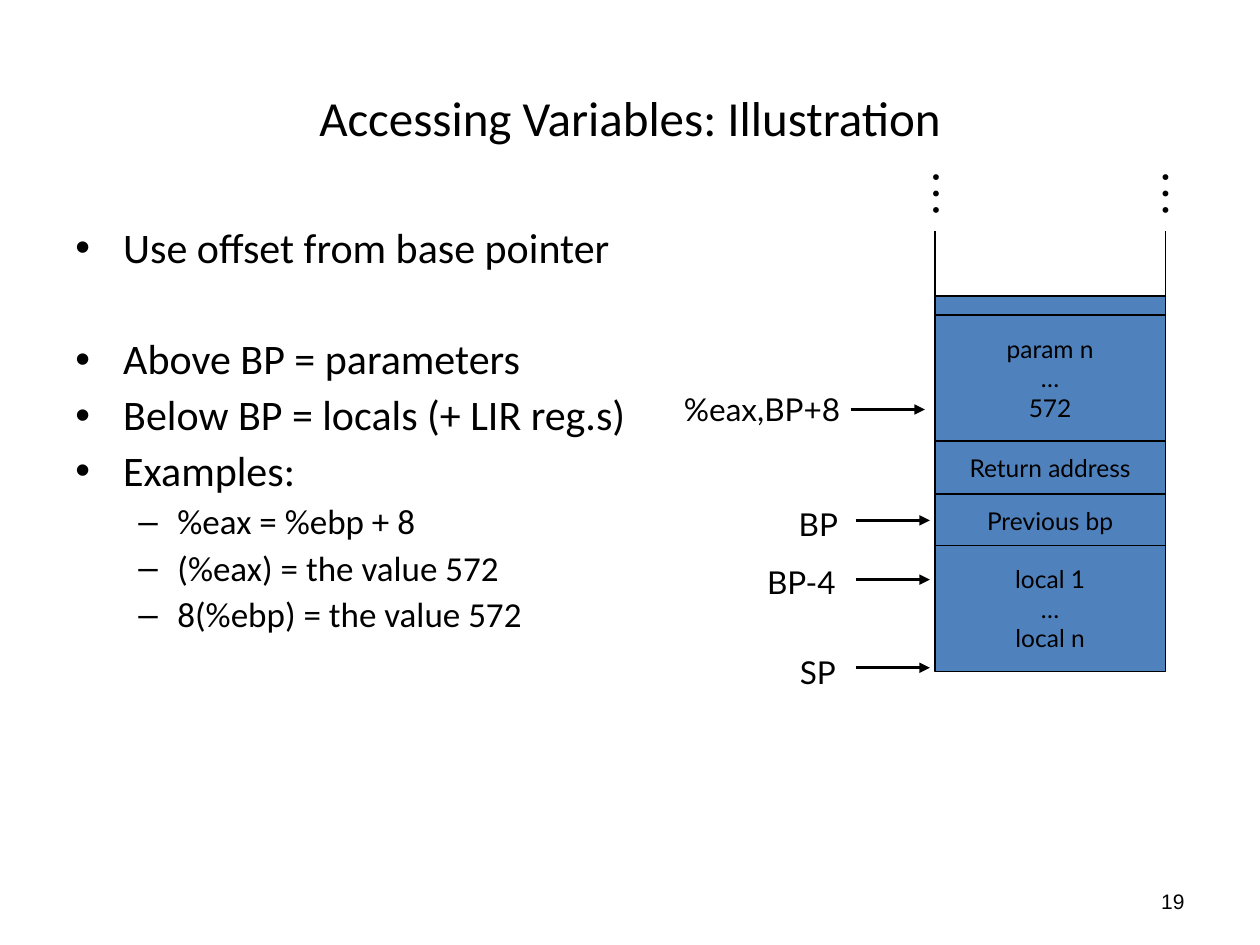
from lxml.etree import SubElement
from pptx import Presentation
from pptx.dml.color import RGBColor
from pptx.enum.shapes import MSO_CONNECTOR, MSO_SHAPE
from pptx.enum.text import MSO_ANCHOR, MSO_AUTO_SIZE, PP_ALIGN
from pptx.oxml.ns import qn
from pptx.util import Inches, Pt

BLACK = RGBColor.from_string("000000")
BLUE = RGBColor.from_string("4F81BD")

deck = Presentation()
deck.slide_width, deck.slide_height = Inches(10), Inches(7.5)
page = deck.slides.add_slide(deck.slide_layouts[6])


def write(box, lines, font, size, align=PP_ALIGN.LEFT, anchor=MSO_ANCHOR.TOP, wrap=False):
    frame = box.text_frame
    frame.word_wrap = wrap
    frame.vertical_anchor = anchor
    frame.text = "\n".join(lines)
    for para in frame.paragraphs:
        para.alignment = align
        para.font.name = font
        para.font.size = Pt(size)
        para.font.color.rgb = BLACK
    return frame.paragraphs


def draw_line(x1, y1, x2, y2, width, arrow=False):
    line = page.shapes.add_connector(
        MSO_CONNECTOR.STRAIGHT, Inches(x1), Inches(y1), Inches(x2), Inches(y2))
    line.line.color.rgb = BLACK
    line.line.width = Pt(width)
    if arrow:
        SubElement(line.line._get_or_add_ln(), qn("a:tailEnd"), type="triangle")
    SubElement(line._element.spPr, qn("a:effectLst"))


# Page number
box = page.shapes.add_textbox(Inches(7.17), Inches(6.95), Inches(2.33), Inches(0.4))
write(box, ["19"], "Arial", 12, PP_ALIGN.RIGHT, MSO_ANCHOR.MIDDLE, True)

# Title
box = page.shapes.add_textbox(Inches(0.5), Inches(0.3), Inches(9), Inches(1.25))
write(box, ["Accessing Variables: Illustration"], "Calibri", 28,
      PP_ALIGN.CENTER, MSO_ANCHOR.MIDDLE, True)

# Bulleted text: level, extra space before, wording
bullets = [
    (0, 0, "Use offset from base pointer"),
    (0, 32, "Above BP = parameters"),
    (0, 0, "Below BP = locals (+ LIR reg.s)"),
    (0, 0, "Examples:"),
    (1, 0, "%eax = %ebp + 8"),
    (1, 0, "(%eax) = the value 572"),
    (1, 0, "8(%ebp) = the value 572"),
]
# Size, space before, left margin, hanging indent and mark of each level
levels = [(24, 6, 0.38, 0.38, "•"), (20, 5, 0.81, 0.31, "–")]
box = page.shapes.add_textbox(Inches(0.5), Inches(1.75), Inches(9), Inches(4.95))
paragraphs = write(box, [text for _, _, text in bullets], "Calibri", 24, wrap=True)
for para, (level, extra, _) in zip(paragraphs, bullets):
    size, before, margin, hanging, mark = levels[level]
    para.level = level
    para.font.size = Pt(size)
    para.line_spacing = 0.9
    para.space_before = Pt(before + extra)
    properties = para._p.get_or_add_pPr()
    properties.set("marL", str(Inches(margin)))
    properties.set("indent", str(-Inches(hanging)))
    # Bullet font and mark stand before the text defaults
    defaults = properties.find(qn("a:defRPr"))
    defaults.addprevious(SubElement(properties, qn("a:buFont"), typeface="Arial"))
    defaults.addprevious(SubElement(properties, qn("a:buChar"), char=mark))

# Stack walls and cells: top, height, lines (the first lies behind the others)
STACK_LEFT, STACK_WIDTH = 7.42, 1.83
cells = [
    (2.35, 2.94, []),
    (2.5, 1, ["param n", "…", "572"]),
    (3.5, 0.42, ["Return address"]),
    (3.92, 0.42, ["Previous bp"]),
    (4.33, 1, ["local 1", "…", "local n"]),
]
for top, height, lines in cells:
    cell = page.shapes.add_shape(MSO_SHAPE.RECTANGLE, Inches(STACK_LEFT), Inches(top),
                                 Inches(STACK_WIDTH), Inches(height))
    cell.shadow.inherit = False
    cell.fill.solid()
    cell.fill.fore_color.rgb = BLUE
    cell.line.color.rgb = BLACK
    cell.line.width = Pt(0.75)
    if lines:
        write(cell, lines, "Lato", 14, PP_ALIGN.CENTER, MSO_ANCHOR.MIDDLE)
    else:
        for x in (STACK_LEFT, STACK_LEFT + STACK_WIDTH):
            draw_line(x, 3, x, 1.83, 0.75)

# Dots above the stack walls
for left in (7.27, 9.09):
    box = page.shapes.add_textbox(Inches(left), Inches(1.26), Inches(0.59), Inches(0.57))
    box.rotation = 90
    write(box, ["…"], "Times New Roman", 28)

# Pointers: label, its left, top and width, then arrow start and height
pointers = [
    ("%eax,BP+8", 5.33, 3.05, 1.48, 6.75, 3.25),
    ("BP", 6.24, 3.96, 0.51, 6.79, 4.13),
    ("BP-4", 5.99, 4.42, 0.8, 6.79, 4.6),
    ("SP", 6.25, 5.13, 0.49, 6.79, 5.3),
]
for label, left, top, width, start, y in pointers:
    box = page.shapes.add_textbox(Inches(left), Inches(top), Inches(width), Inches(0.4))
    write(box, [label], "Lato", 18)
    box.text_frame.auto_size = MSO_AUTO_SIZE.SHAPE_TO_FIT_TEXT
    draw_line(start, y, start + 0.59, y, 1.5, arrow=True)

deck.save("out.pptx")
